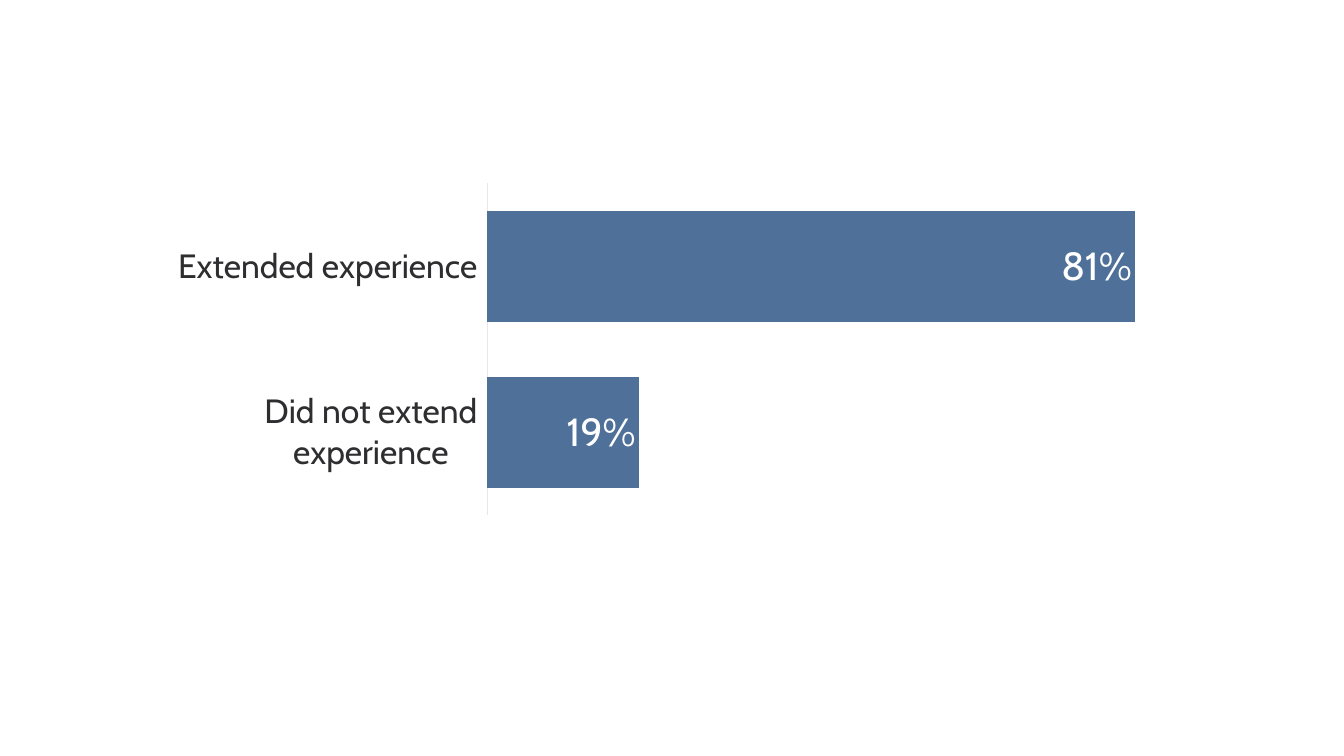
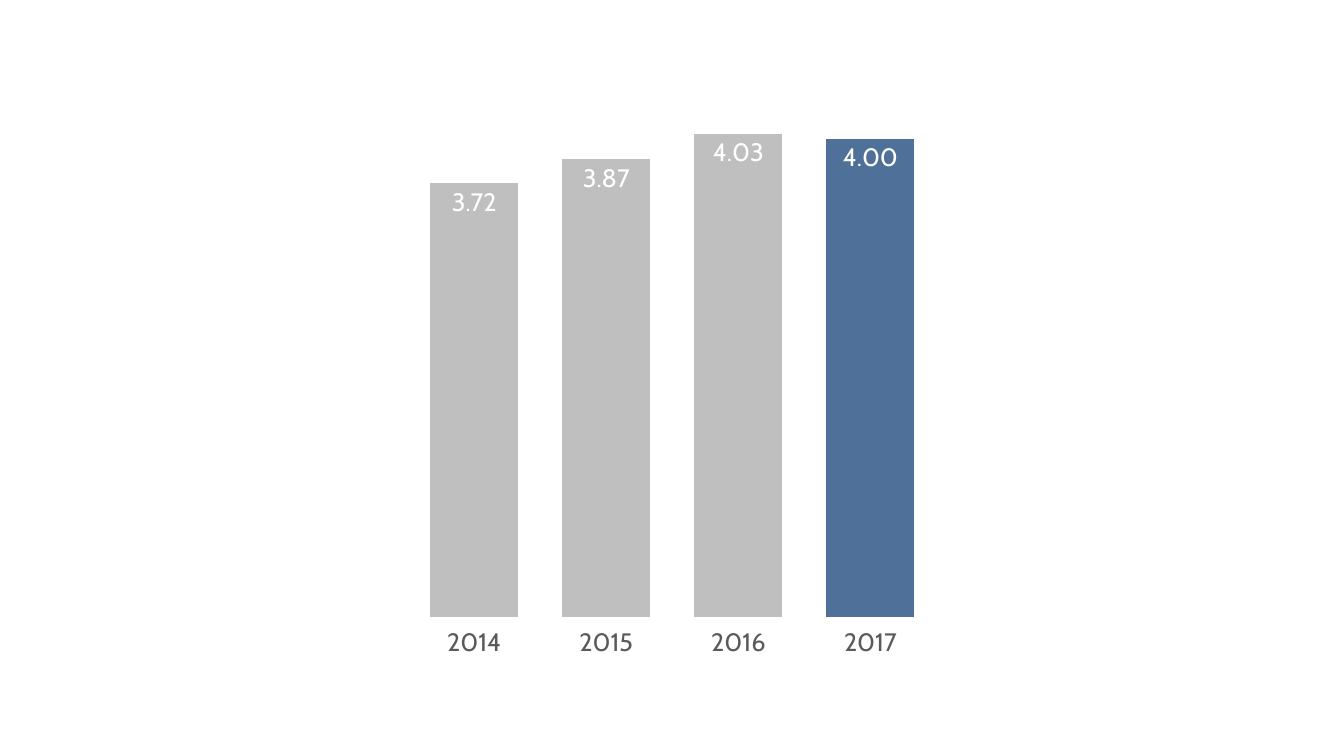
from lxml import etree
from pptx import Presentation
from pptx.chart.data import CategoryChartData
from pptx.dml.color import RGBColor
from pptx.enum.chart import XL_CHART_TYPE, XL_LABEL_POSITION, XL_TICK_LABEL_POSITION, XL_TICK_MARK
from pptx.oxml.ns import qn
from pptx.util import Cm, Pt

FONT = "Cabin"
BLUE, GREY, WHITE = "4F7199", "BFBFBF", "FFFFFF"
DARK, TEXT, AXIS_GREY, RULE = "2E2E30", "5C5D5F", "5A5A5A", "E6E7E7"

# Boxes are left, top, width, height in cm; plots are fractions of the chart.
CHARTS = [
    {
        "kind": XL_CHART_TYPE.BAR_CLUSTERED,
        "box": (4.09, 4.45, 26.85, 8.71),
        "plot": (0.305, 0.02, 0.676, 0.96),
        "values": {"Did not extend\nexperience": 0.19, "Extended experience": 0.81},
        "scale": (0, 0.9),
        "format": "0%",
        "color": BLUE,
        "accents": {},
        "text_size": 10,
        "axis_text": (24, DARK),
        "axis_line": RULE,
        "label_size": 28,
    },
    {
        "kind": XL_CHART_TYPE.COLUMN_CLUSTERED,
        "box": (10.01, 1.17, 13.87, 15.72),
        "plot": (0.02, 0.02, 0.96, 0.895),
        "values": {"2014": 3.72, "2015": 3.87, "2016": 4.03, "2017": 4},
        "scale": (1, 4.5),
        "format": "0.00",
        "color": GREY,
        "accents": {"2017": BLUE},
        "text_size": 18,
        "axis_text": (18, AXIS_GREY),
        "axis_line": None,
        "label_size": 18,
    },
]


def rgb(color):
    return RGBColor.from_string(color)


def set_font(font, size, color):
    font.name, font.size, font.bold = FONT, Pt(size), False
    font.color.rgb = rgb(color)


def fill_solid(part, color):
    part.format.fill.solid()
    part.format.fill.fore_color.rgb = rgb(color)


def place_plot(chart, fractions):
    """Fix the inner plot area, which python-pptx cannot position itself."""
    plot_area = chart.plots[0]._element.getparent()
    for old in plot_area.findall(qn("c:layout")):
        plot_area.remove(old)
    layout = etree.Element(qn("c:layout"))
    manual = etree.SubElement(layout, qn("c:manualLayout"))
    settings = [("layoutTarget", "inner"), ("xMode", "edge"), ("yMode", "edge")]
    settings += zip("xywh", fractions)
    for name, value in settings:
        etree.SubElement(manual, qn(f"c:{name}")).set("val", str(value))
    plot_area.insert(0, layout)


def style_axes(chart, design):
    value_axis = chart.value_axis
    value_axis.minimum_scale, value_axis.maximum_scale = design["scale"]
    value_axis.has_major_gridlines = False
    value_axis.visible = False

    category_axis = chart.category_axis
    category_axis.major_tick_mark = XL_TICK_MARK.NONE
    category_axis.tick_label_position = XL_TICK_LABEL_POSITION.LOW
    set_font(category_axis.tick_labels.font, *design["axis_text"])
    line = category_axis.format.line
    if design["axis_line"]:
        line.color.rgb = rgb(design["axis_line"])
        line.width = Pt(0.75)
    else:
        line.fill.background()


def style_bars(chart, design):
    plot = chart.plots[0]
    plot.gap_width = 50
    plot.vary_by_categories = False
    series = plot.series[0]
    fill_solid(series, design["color"])
    categories = list(design["values"])
    for category, color in design["accents"].items():
        fill_solid(series.points[categories.index(category)], color)

    labels = series.data_labels
    labels.show_value = True
    labels.position = XL_LABEL_POSITION.INSIDE_END
    labels.number_format = design["format"]
    labels.number_format_is_linked = False
    set_font(labels.font, design["label_size"], WHITE)


def add_bar_chart(slide, design):
    data = CategoryChartData(number_format=design["format"])
    data.categories = list(design["values"])
    data.add_series("Series 1", list(design["values"].values()))
    box = [Cm(length) for length in design["box"]]
    chart = slide.shapes.add_chart(design["kind"], *box, data).chart
    chart.has_title = chart.has_legend = False
    set_font(chart.font, design["text_size"], TEXT)
    place_plot(chart, design["plot"])
    style_axes(chart, design)
    style_bars(chart, design)


def main():
    deck = Presentation()
    deck.slide_width, deck.slide_height = Cm(33.87), Cm(19.05)
    blank = deck.slide_layouts[6]
    for design in CHARTS:
        add_bar_chart(deck.slides.add_slide(blank), design)
    deck.save("out.pptx")


if __name__ == "__main__":
    main()
